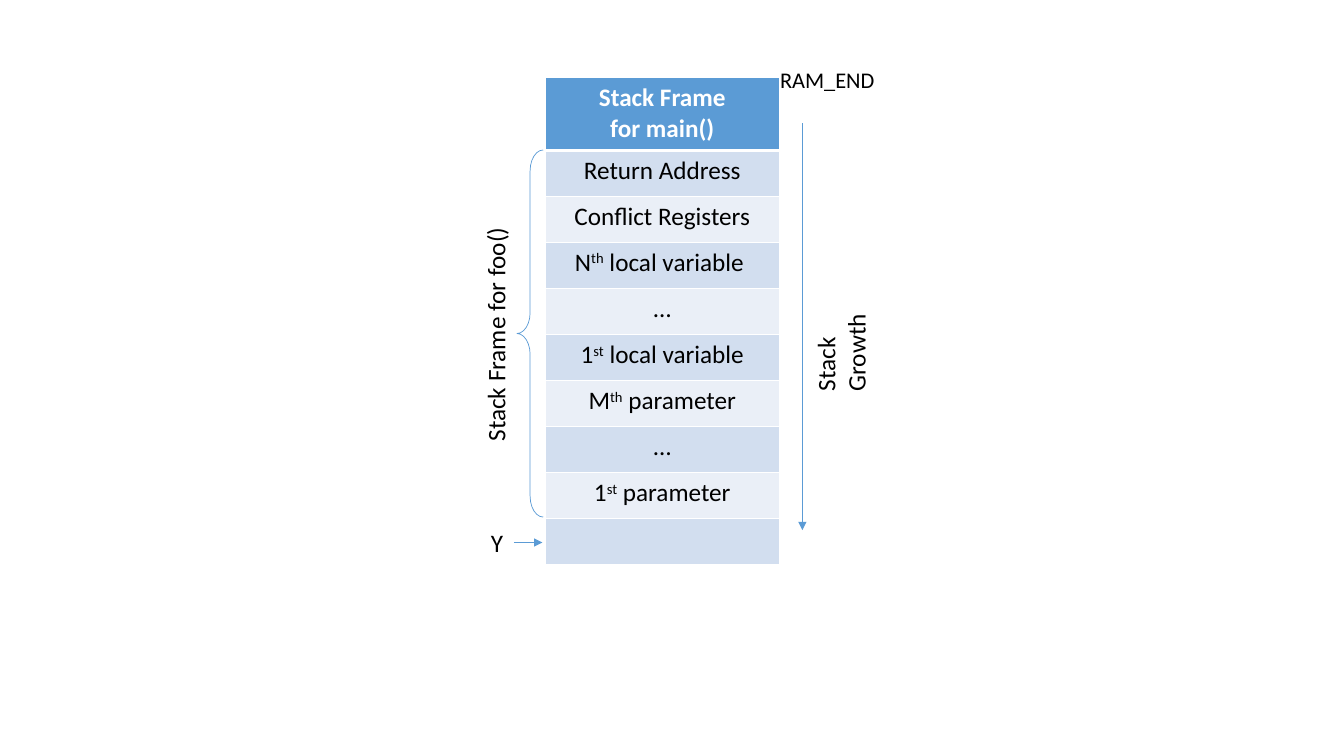
from dataclasses import dataclass

from lxml import etree
from pptx import Presentation
from pptx import util as u
from pptx.dml.color import RGBColor
from pptx.enum import shapes, text
from pptx.oxml import ns


@dataclass(frozen=True)
class Theme:
    """Colours, font and type sizes of the slide."""
    font: str = "Calibri"
    size: int = 18
    small: int = 16
    ink: str = "000000"
    paper: str = "FFFFFF"
    accent: str = "5B9BD5"
    bands: tuple = ("D2DEEF", "EAEFF7")


THEME = Theme()
CENTER = text.PP_ALIGN.CENTER
HEADER = "Stack Frame\nfor main()"
# Text between carets is superscript.
SLOTS = ["Return Address", "Conflict Registers", "N^th^ local variable ", "…",
         "1^st^ local variable", "M^th^ parameter", "…", "1^st^ parameter", ""]


def add_xml(parent, tag, **attrs):
    """Append a DrawingML child element and return it."""
    return etree.SubElement(parent, ns.qn(tag), attrs)


def write(tf, content, size=THEME.size, color=THEME.ink, bold=False, align=None):
    """Write formatted lines, raising the parts between carets."""
    for i, line in enumerate(content.split("\n")):
        p = tf.paragraphs[0] if i == 0 else tf.add_paragraph()
        p.alignment = align
        for j, part in enumerate(line.split("^")):
            if not part:
                continue
            r = p.add_run()
            r.text = part
            r.font.name = THEME.font
            r.font.size = u.Pt(size)
            r.font.bold = bold
            r.font.color.rgb = RGBColor.from_string(color)
            if j % 2:
                r.font._element.set("baseline", "30000")


def add_label(slide, content, box, rotation=0, vert=None, **fmt):
    """Add a wrapped text box; box is left, top, width, height in cm."""
    sp = slide.shapes.add_textbox(*map(u.Cm, box))
    sp.rotation = rotation
    tf = sp.text_frame
    tf.word_wrap = True
    tf.auto_size = text.MSO_AUTO_SIZE.SHAPE_TO_FIT_TEXT
    if vert:
        tf._txBody.bodyPr.set("vert", vert)
    write(tf, content, **fmt)


def add_arrow(slide, x1, y1, x2, y2, width):
    """Add a straight arrow between two points in cm."""
    cxn = slide.shapes.add_connector(shapes.MSO_CONNECTOR.STRAIGHT,
                                     *map(u.Cm, (x1, y1, x2, y2)))
    cxn.line.color.rgb = RGBColor.from_string(THEME.accent)
    cxn.line.width = u.Pt(width)
    add_xml(cxn.line._get_or_add_ln(), "a:tailEnd", type="triangle")
    add_xml(cxn._element.spPr, "a:effectLst")


def add_brace(slide, box):
    """Add a left brace; box is in cm."""
    sp = slide.shapes.add_shape(shapes.MSO_SHAPE.LEFT_BRACE, *map(u.Cm, box))
    sp.adjustments[0] = 0.8
    sp.shadow.inherit = False
    sp.fill.background()
    sp.line.color.rgb = RGBColor.from_string(THEME.accent)
    sp.line.width = u.Pt(0.5)


def style_cell(cell, fill, top=1, bottom=1):
    """Give a cell white borders, with widths in points, and a solid fill."""
    tcPr = cell._tc.get_or_add_tcPr()
    for side, width in (("L", 1), ("R", 1), ("T", top), ("B", bottom)):
        ln = add_xml(tcPr, f"a:ln{side}", w=str(u.Pt(width)))
        add_xml(add_xml(ln, "a:solidFill"), "a:srgbClr", val=THEME.paper)
    cell.fill.solid()
    cell.fill.fore_color.rgb = RGBColor.from_string(fill)


def add_stack(slide, left, top, width, header_height, slot_height):
    """Add the stack as a one-column table; lengths are in cm."""
    height = header_height + slot_height * len(SLOTS)
    table = slide.shapes.add_table(len(SLOTS) + 1, 1,
                                   *map(u.Cm, (left, top, width, height))).table
    table.rows[0].height = u.Cm(header_height)
    header = table.cell(0, 0)
    style_cell(header, THEME.accent, bottom=3)
    write(header.text_frame, HEADER, color=THEME.paper, bold=True, align=CENTER)
    for i, slot in enumerate(SLOTS):
        table.rows[i + 1].height = u.Cm(slot_height)
        cell = table.cell(i + 1, 0)
        style_cell(cell, THEME.bands[i % 2], top=1 if i else 3)
        write(cell.text_frame, slot, align=CENTER)


def main():
    """Build the stack frame slide."""
    prs = Presentation()
    prs.slide_width, prs.slide_height = u.Cm(33.87), u.Cm(19.05)
    slide = prs.slides.add_slide(prs.slide_layouts[6])

    add_stack(slide, 13.74, 1.96, 5.9, 1.83, 1.16)
    add_label(slide, "RAM_END", (19.41, 1.55, 3.05, 0.94), size=THEME.small)
    add_arrow(slide, 20.22, 3.1, 20.22, 13.36, width=1)
    add_brace(slide, (13.03, 3.78, 0.66, 9.25))
    add_label(slide, "Stack Frame for foo()", (9.07, 7.92, 6.83, 1.02),
              rotation=270, align=CENTER)
    add_arrow(slide, 12.95, 13.67, 13.67, 13.67, width=0.5)
    add_label(slide, "Y", (12.12, 13.16, 0.84, 1.02))
    add_label(slide, "Stack Growth", (20.29, 6.35, 1.27, 3.76),
              rotation=180, vert="eaVert")
    prs.save("out.pptx")


main()
